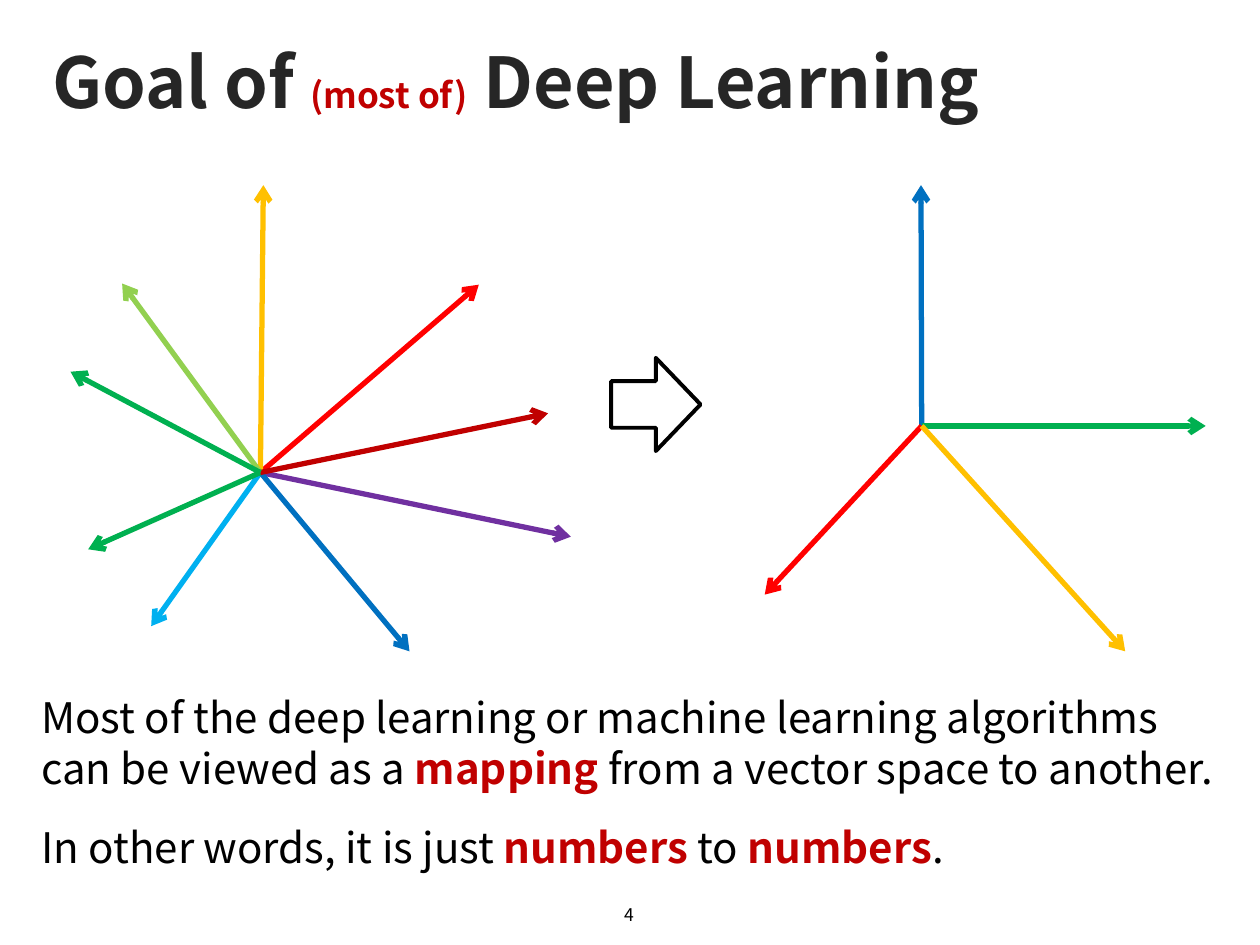
"""Build the slide on deep learning as a mapping between vector spaces."""
from lxml.etree import SubElement
from pptx import Presentation
from pptx.dml.color import RGBColor
from pptx.enum.shapes import MSO_CONNECTOR as Connector, MSO_SHAPE as Shape
from pptx.enum.text import MSO_ANCHOR as Anchor, PP_ALIGN as Align
from pptx.oxml.ns import qn
from pptx.util import Pt

FONT = "Noto Sans CJK KR"
COLORS = {
    "black": "000000", "title": "262626", "dark red": "C00000", "red": "FF0000",
    "purple": "7030A0", "sky": "00B0F0", "blue": "0070C0", "gold": "FFC000",
    "lime": "92D050", "green": "00B050",
}


def add_text(box, runs, anchor=Anchor.TOP, align=Align.LEFT):
    left, top, width, height = box
    frame = slide.shapes.add_textbox(Pt(left), Pt(top), Pt(width), Pt(height)).text_frame
    frame.word_wrap = True
    frame.vertical_anchor = anchor
    paragraph = frame.paragraphs[0]
    paragraph.alignment = align
    for words, size, color, bold in runs:
        run = paragraph.add_run()
        run.text = words
        run.font.name = FONT
        run.font.size = Pt(size)
        run.font.bold = bold
        run.font.color.rgb = RGBColor.from_string(COLORS[color])


def add_vector(origin, tip, color):
    vector = slide.shapes.add_connector(
        Connector.STRAIGHT, *(Pt(value) for value in (*origin, *tip)))
    vector.line.width = Pt(3)
    vector.line.color.rgb = RGBColor.from_string(COLORS[color])
    SubElement(vector.line._get_or_add_ln(), qn("a:tailEnd"), type="arrow")
    SubElement(vector._element.spPr, qn("a:effectLst"))


deck = Presentation()
deck.slide_width, deck.slide_height = Pt(720), Pt(540)
slide = deck.slides.add_slide(deck.slide_layouts[6])

add_text((23, 20.2, 675.4, 51.8), [
    ("Goal of ", 40, "title", True),
    ("(most of)", 20, "dark red", True),
    (" Deep Learning", 40, "title", True),
], Anchor.MIDDLE)
add_text((275.8, 508.3, 167.8, 28.8), [("4", 10, "black", False)],
         Anchor.MIDDLE, Align.CENTER)

mapping = slide.shapes.add_shape(Shape.RIGHT_ARROW, Pt(349.2), Pt(204.5), Pt(51.1), Pt(53.3))
mapping.shadow.inherit = False
mapping.fill.background()
mapping.line.width = Pt(2.25)
mapping.line.color.rgb = RGBColor.from_string(COLORS["black"])

spaces = [
    ((148.8, 270), [
        ((273.6, 162.7), "red"), ((326.2, 306.7), "purple"), ((86.4, 357.8), "sky"),
        ((234, 372.2), "blue"), ((150.5, 105.8), "gold"), ((69.8, 162), "lime"),
        ((50.4, 313.9), "green"), ((313.2, 236.2), "dark red"), ((40.3, 212.4), "green"),
    ]),
    ((526.7, 243.4), [
        ((526.3, 105.8), "blue"), ((689, 243.4), "green"),
        ((437, 339.8), "red"), ((643, 372.2), "gold"),
    ]),
]
for origin, vectors in spaces:
    for tip, color in vectors:
        add_vector(origin, tip, color)

add_text((16.6, 391.7, 689, 65.5), [
    ("Most of the deep learning or machine learning algorithms can be viewed as a ",
     24, "black", False),
    ("mapping ", 24, "dark red", True),
    ("from a vector space to another.", 24, "black", False),
])
add_text((16.6, 465.8, 689, 36), [
    ("In other words, it is just ", 24, "black", False),
    ("numbers ", 24, "dark red", True),
    ("to ", 24, "black", False),
    ("numbers", 24, "dark red", True),
    (".", 24, "black", False),
])

deck.save("out.pptx")
